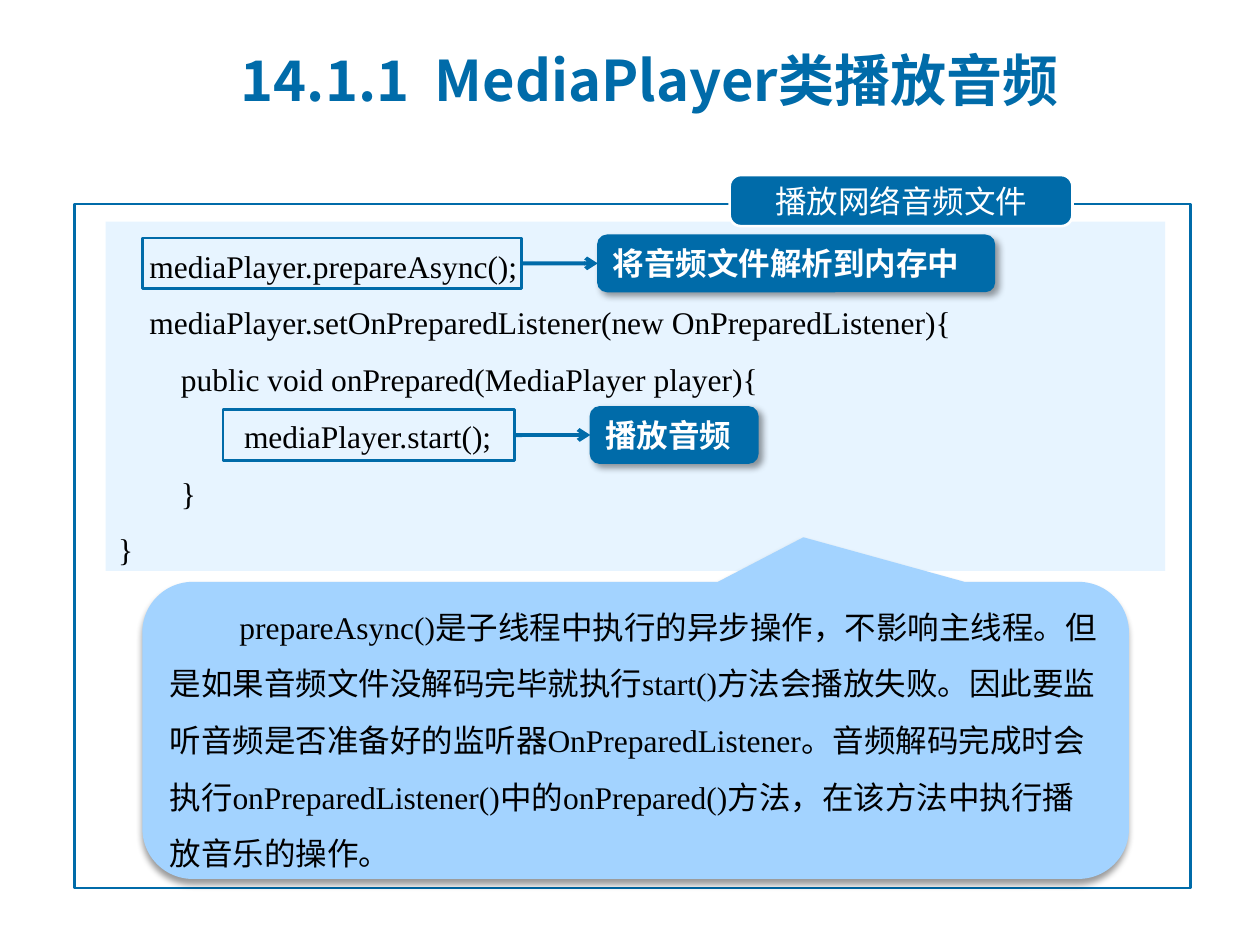
from lxml.etree import SubElement
from pptx import Presentation
from pptx.dml.color import RGBColor
from pptx.enum.shapes import MSO_CONNECTOR, MSO_SHAPE as SHAPE
from pptx.enum.text import MSO_ANCHOR as ANCHOR, MSO_AUTO_SIZE as AUTO, PP_ALIGN as ALIGN
from pptx.oxml.ns import qn
from pptx.util import Cm, Pt

BLUE, PALE, SKY, WHITE, BLACK = "006BA9", "E7F4FF", "A3D3FF", "FFFFFF", "000000"
SANS, SERIF, CJK = "Arial", "Times New Roman", "Noto Sans CJK SC"

TITLE = "14.1.1  MediaPlayer类播放音频"
HEADING = "播放网络音频文件"
CODE = [
    "    mediaPlayer.prepareAsync();",
    "    mediaPlayer.setOnPreparedListener(new OnPreparedListener){",
    "        public void onPrepared(MediaPlayer player){",
    "\tmediaPlayer.start();",
    "        }",
    "}",
]
EXPLANATION = (
    "prepareAsync()是子线程中执行的异步操作，不影响主线程。"
    "但是如果音频文件没解码完毕就执行start()方法会播放失败。"
    "因此要监听音频是否准备好的监听器OnPreparedListener。"
    "音频解码完成时会执行onPreparedListener()中的onPrepared()方法，"
    "在该方法中执行播放音乐的操作。"
)
STEPS = [
    ((2.87, 4.8, 7.65, 1.02), "将音频文件解析到内存中", 8),
    ((4.5, 8.26, 5.87, 1.02), "播放音频", 3.38),
]
STEP_GAP, TAG_HEIGHT = 1.53, 1.14


def rgb(value):
    """Turn a hex string into a colour."""
    return RGBColor.from_string(value)


def set_all(target, values):
    """Set every attribute named in the dict of values."""
    for name, value in values.items():
        setattr(target, name, value)


def add_box(slide, kind, place, fill=None, line=None, width=1.5):
    """Add a preset shape with the given fill and outline."""
    box = slide.shapes.add_shape(kind, *map(Cm, place))
    box.shadow.inherit = False
    if fill:
        box.fill.solid()
        box.fill.fore_color.rgb = rgb(fill)
    else:
        box.fill.background()
    if line:
        box.line.color.rgb = rgb(line)
        box.line.width = Pt(width)
    else:
        box.line.fill.background()
    return box


def add_shadow(box, degrees):
    """Cast a soft black shadow in the given direction."""
    effects = box._element.spPr.find(qn("a:effectLst"))
    shadow = SubElement(
        effects, qn("a:outerShdw"), blurRad=str(Pt(4)), dist=str(Pt(3)),
        dir=str(degrees * 60000), algn="ctr", rotWithShape="0",
    )
    tint = SubElement(shadow, qn("a:srgbClr"), val=BLACK)
    SubElement(tint, qn("a:alpha"), val="40000")


def write(box, lines, color, font=SANS, size=18, bold=False, paragraph=None, frame=None):
    """Write one paragraph per line in a single style."""
    text = box.text_frame
    set_all(text, {"word_wrap": True, "vertical_anchor": ANCHOR.MIDDLE, **(frame or {})})
    for index, line in enumerate(lines):
        part = text.paragraphs[0] if index == 0 else text.add_paragraph()
        set_all(part, {"alignment": ALIGN.LEFT, **(paragraph or {})})
        run = part.add_run()
        run.text = line
        set_all(run.font, {"name": font, "size": Pt(size), "bold": bold})
        run.font.color.rgb = rgb(color)
        SubElement(run.font._element, qn("a:ea"), typeface=CJK)


def add_title(slide):
    """Move the title placeholder and fill it."""
    title = slide.shapes.title
    place = {"left": 4.6, "top": 0.53, "width": 19.4, "height": 2.13}
    set_all(title, {name: Cm(value) for name, value in place.items()})
    write(title, [TITLE], BLUE, CJK, 32, True, frame={"auto_size": AUTO.NONE})


def add_code(slide):
    """Add the code panel with a tab stop for the innermost statement."""
    code = add_box(slide, SHAPE.RECTANGLE, (2.13, 4.47, 21.36, 7.04), PALE)
    write(code, CODE, BLACK, SERIF, paragraph={"line_spacing": 1.5},
          frame={"vertical_anchor": ANCHOR.TOP})
    for statement in code.text_frame.paragraphs:
        if statement.text.startswith("\t"):
            stops = SubElement(statement._p.get_or_add_pPr(), qn("a:tabLst"))
            SubElement(stops, qn("a:tab"), pos=str(Cm(2.54)), algn="l")


def add_heading(slide):
    """Add the heading tab that sits on the frame."""
    heading = add_box(slide, SHAPE.ROUNDED_RECTANGLE, (14.71, 3.53, 6.91, 1.03), BLUE, WHITE)
    heading.adjustments[0] = 0.22
    write(heading, [HEADING], WHITE, CJK, paragraph={"alignment": ALIGN.CENTER})


def add_explanation(slide):
    """Add the callout that explains the listener."""
    callout = add_box(slide, SHAPE.ROUNDED_RECTANGULAR_CALLOUT, (2.87, 11.73, 19.89, 5.99), SKY)
    for index, value in enumerate((0.17, -0.65, 0.17)):
        callout.adjustments[index] = value
    add_shadow(callout, 90)
    write(callout, [EXPLANATION], BLACK, SERIF, paragraph={"line_spacing": 1.5})
    first = callout.text_frame.paragraphs[0]
    first._p.get_or_add_pPr().set("indent", str(Cm(1.41)))


def add_arrow(slide, source, target):
    """Join the right side of source to the left side of target."""
    arrow = slide.shapes.add_connector(MSO_CONNECTOR.STRAIGHT, 0, 0, 0, 0)
    arrow.begin_connect(source, 3)
    arrow.end_connect(target, 1)
    arrow.line.color.rgb = rgb(BLUE)
    arrow.line.width = Pt(2.25)
    SubElement(arrow.line._get_or_add_ln(), qn("a:tailEnd"), type="arrow")
    SubElement(arrow._element.spPr, qn("a:effectLst"))


def add_step(slide, place, note, note_width):
    """Outline a statement and point from it to its note."""
    left, top, width, height = place
    statement = add_box(slide, SHAPE.RECTANGLE, place, line=BLUE)
    note_place = (left + width + STEP_GAP, top + (height - TAG_HEIGHT) / 2, note_width, TAG_HEIGHT)
    tag = add_box(slide, SHAPE.ROUNDED_RECTANGLE, note_place, BLUE, BLUE, 0.75)
    add_shadow(tag, 45)
    write(tag, [note], WHITE, bold=True, frame={"auto_size": AUTO.SHAPE_TO_FIT_TEXT})
    add_arrow(slide, statement, tag)


def main():
    """Build the slide and save it."""
    deck = Presentation()
    set_all(deck, {"slide_width": Cm(25.4), "slide_height": Cm(19.05)})
    slide = deck.slides.add_slide(deck.slide_layouts[5])
    add_title(slide)
    add_code(slide)
    add_box(slide, SHAPE.RECTANGLE, (1.5, 4.11, 22.5, 13.79), line=BLUE)
    add_heading(slide)
    add_explanation(slide)
    for step in STEPS:
        add_step(slide, *step)
    deck.save("out.pptx")


if __name__ == "__main__":
    main()
